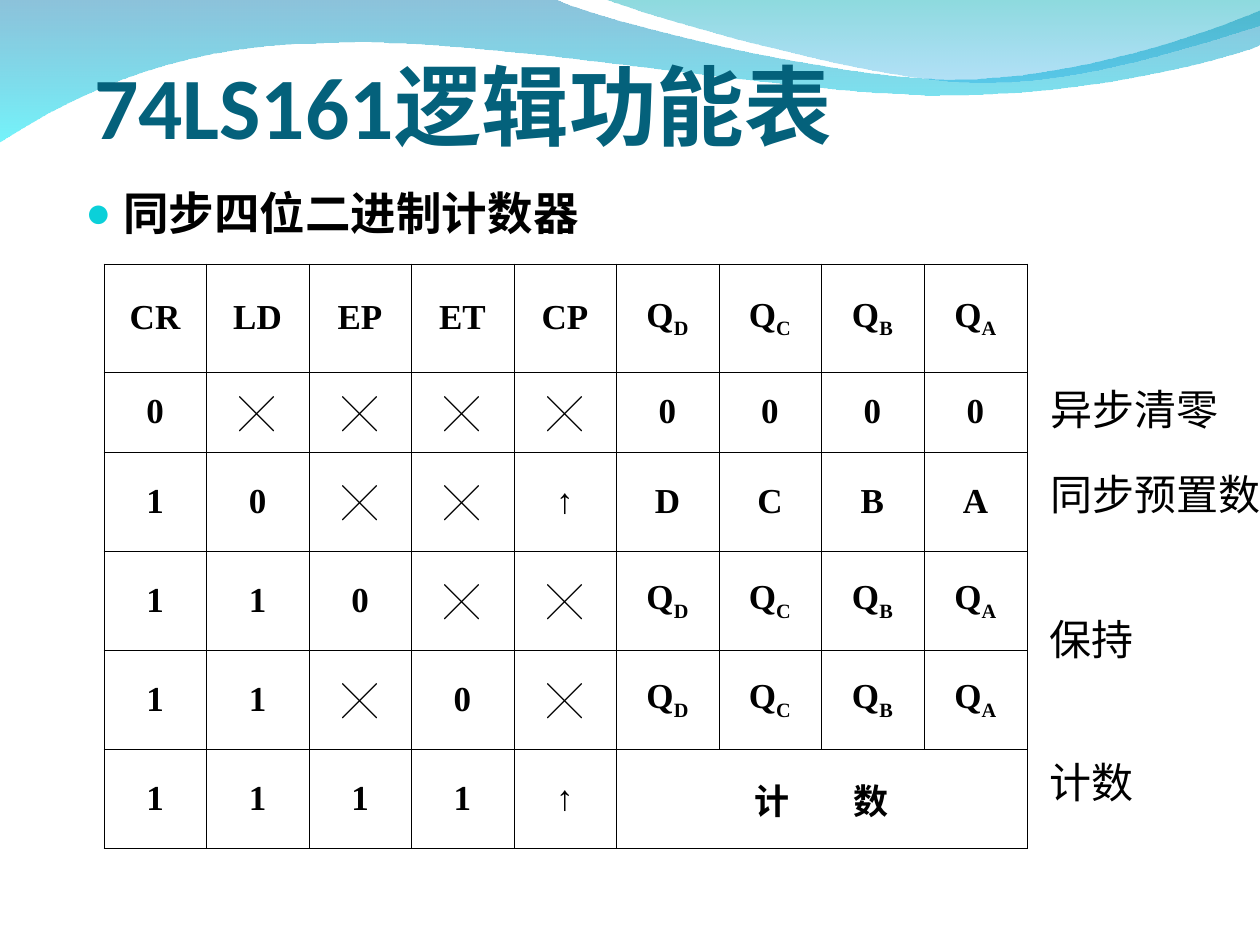
from lxml import etree
from pptx import Presentation
from pptx import util as u
from pptx.dml.color import RGBColor
from pptx.enum import text
from pptx.oxml import ns

PX = 914400 / 126
COLORS = {
    "title": "04617B", "ink": "000000", "bullet": "0BD0D9",
    "deep": "0079AF", "cyan": "00EBF8", "teal": "00ADB6", "sky": "009BE5",
}
CJK = "Noto Sans CJK SC"
SERIF = "Times New Roman"


def px(value):
    return u.Emu(round(value * PX))


def rgb(name):
    return RGBColor.from_string(COLORS[name])


def add_node(parent, tag, **attributes):
    return etree.SubElement(parent, ns.qn(tag), attributes)


class SlideBuilder:
    def __init__(self, deck):
        self.slide = deck.slides.add_slide(deck.slide_layouts[5])
        self.waves = 0

    def style(self, paragraph, size, latin, color="ink", bold=False):
        font = paragraph.font
        font.size, font.name, font.bold = u.Pt(size), latin, bold
        font.color.rgb = rgb(color)
        for run in paragraph.runs:
            run.font.name = latin
            add_node(run.font._element, "a:ea", typeface=CJK)

    def curve(self, wave, segments):
        lines = list(wave._element.iter(ns.qn("a:lnTo")))
        for segment in segments:
            group, lines = lines[:len(segment)], lines[len(segment):]
            if len(group) == 3:
                group[0].addprevious(etree.Element(ns.qn("a:cubicBezTo")))
                bend = group[0].getprevious()
                for line in group:
                    bend.append(line[0])
                    line.getparent().remove(line)

    def wave(self, start, segments, stops):
        vertices = [(px(x), px(y)) for segment in segments for x, y in segment]
        builder = self.slide.shapes.build_freeform(*map(px, start), scale=1.0)
        builder.add_line_segments(vertices, close=True)
        wave = builder.convert_to_shape()
        self.curve(wave, segments)
        wave.shadow.inherit = False
        wave.line.fill.background()
        wave.fill.gradient()
        wave.fill.gradient_angle = 270
        for stop, position, (color, opacity) in zip(wave.fill.gradient_stops, (0, 1), stops):
            stop.position = position
            stop.color.rgb = rgb(color)
            for node in wave._element.iter(ns.qn("a:srgbClr")):
                if node.get("val") == COLORS[color]:
                    add_node(node, "a:alpha", val=str(opacity * 1000))
        self.slide.shapes._spTree.insert(2 + self.waves, wave._element)
        self.waves += 1

    def title(self, words, left, top, width, height):
        title = self.slide.shapes.title
        title.left, title.top, title.width, title.height = map(px, (left, top, width, height))
        frame = title.text_frame
        frame.text = words
        frame.auto_size = text.MSO_AUTO_SIZE.NONE
        frame.vertical_anchor = text.MSO_ANCHOR.BOTTOM
        frame.margin_left = frame.margin_right = frame.margin_bottom = 0
        frame.paragraphs[0].alignment = text.PP_ALIGN.LEFT
        self.style(frame.paragraphs[0], 50, "Calibri", "title", True)

    def text(self, words, left, top, width, height, size=24, latin=SERIF, bold=False, wrap=True):
        box = self.slide.shapes.add_textbox(*map(px, (left, top, width, height)))
        box.text_frame.word_wrap = wrap
        paragraph = box.text_frame.paragraphs[0]
        paragraph.text = words
        self.style(paragraph, size, latin, bold=bold)
        return paragraph

    def bullet(self, words, left, top, width, height):
        paragraph = self.text(words, left, top, width, height, 26, "Vollkorn", True)
        paragraph.space_before = u.Pt(6.5)
        properties = paragraph._p.get_or_add_pPr()
        properties.set("marL", str(px(38)))
        properties.set("indent", str(-px(38)))
        marks = [
            add_node(properties, "a:buClr"),
            add_node(properties, "a:buSzPct", val="95000"),
            add_node(properties, "a:buFont", typeface=SERIF),
            add_node(properties, "a:buChar", char="●"),
        ]
        add_node(marks[0], "a:srgbClr", val=COLORS["bullet"])
        for mark in marks:
            properties.find(ns.qn("a:defRPr")).addprevious(mark)

    def cell(self, cell, words):
        cell.vertical_anchor = text.MSO_ANCHOR.MIDDLE
        paragraph = cell.text_frame.paragraphs[0]
        paragraph.alignment = text.PP_ALIGN.CENTER
        for part in words:
            paragraph.add_run().text = part
        self.style(paragraph, 20, CJK if words == "╳" else SERIF, bold=True)
        if len(words) == 2:
            lead, tail = paragraph.runs
            if lead.text == "Q":
                tail.font._element.set("baseline", "-25000")
            else:
                lead.font._element.set("spc", "3700")
        properties = cell._tc.get_or_add_tcPr()
        for side in ("a:lnL", "a:lnR", "a:lnT", "a:lnB"):
            border = add_node(properties, side, w=str(u.Pt(0.45)))
            add_node(add_node(border, "a:solidFill"), "a:srgbClr", val=COLORS["ink"])
        cell.fill.background()

    def table(self, rows, left, top, widths, heights):
        table = self.slide.shapes.add_table(
            len(rows), len(widths), px(left), px(top), px(sum(widths)), px(sum(heights))).table
        table.first_row = table.horz_banding = False
        for column, width in zip(table.columns, widths):
            column.width = px(width)
        for row, height in zip(table.rows, heights):
            row.height = px(height)
        for r, row in enumerate(rows):
            for c in range(len(widths)):
                self.cell(table.cell(r, c), row[c] if c < len(row) else "")
            if len(row) < len(widths):
                table.cell(r, len(row) - 1).merge(table.cell(r, len(widths) - 1))


def main():
    deck = Presentation()
    deck.slide_width, deck.slide_height = px(1260), px(945)
    page = SlideBuilder(deck)
    page.wave((0, -1), [
        [(554, -1)],
        [(600, 21), (837, 79), (955, 79)],
        [(1075, 79), (1207, 33), (1260, 11)],
        [(1261, 45)],
        [(1239, 55), (1096, 96), (940, 95)],
        [(784, 95), (481, 35), (324, 43)],
        [(163, 44), (58, 105), (-1, 142)],
    ], [("deep", 45), ("cyan", 55)])
    page.wave((604, -1), [
        [(641, 14), (859, 78), (969, 82)],
        [(1079, 87), (1211, 40), (1260, 26)],
        [(1260, 0)],
    ], [("teal", 45), ("sky", 30)])
    page.title("74LS161逻辑功能表", 94, 0, 1071, 157)
    page.bullet("同步四位二进制计数器", 73, 179, 1081, 711)

    outputs = ["QD", "QC", "QB", "QA"]
    header = [("CR",), ("LD",), ("EP",), ("ET",), ("CP",)]
    rows = [
        header + outputs,
        "0╳╳╳╳0000",
        "10╳╳↑DCBA",
        [*"110╳╳", *outputs],
        [*"11╳0╳", *outputs],
        [*"1111↑", "计数"],
    ]
    widths = [102 + c % 2 for c in range(8)] + [103]
    page.table(rows, 104, 264, widths, [108, 80] + [99] * 3 + [100])

    for label, left, top, width, wrap in (
            ("异步清零", 1038, 377, 193, False), ("同步预置数", 1038, 462, 235, False),
            ("保持", 1037, 607, 179, True), ("计数", 1037, 750, 109, False)):
        page.text(label, left, top, width, 63, wrap=wrap)
    deck.save("out.pptx")


if __name__ == "__main__":
    main()
